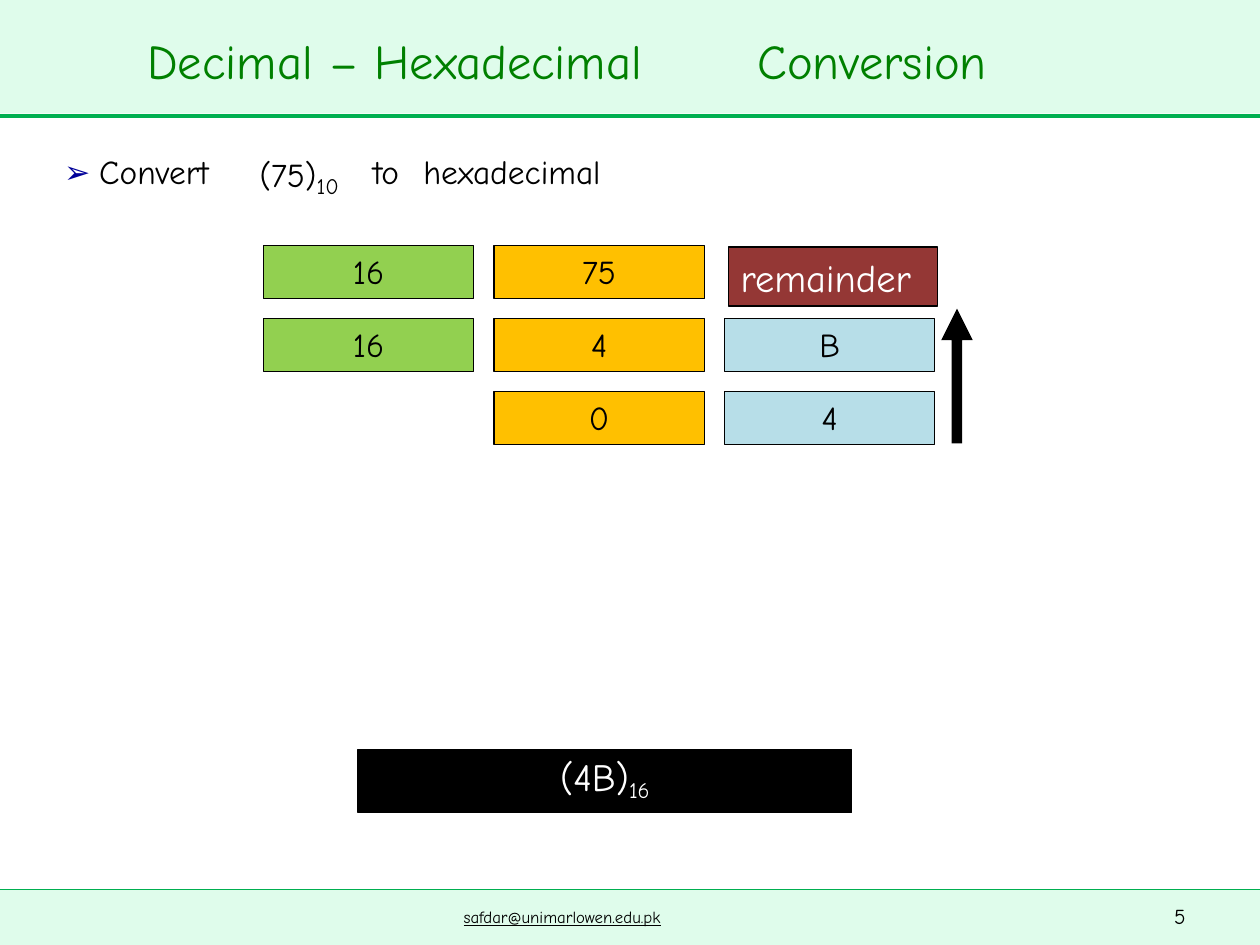
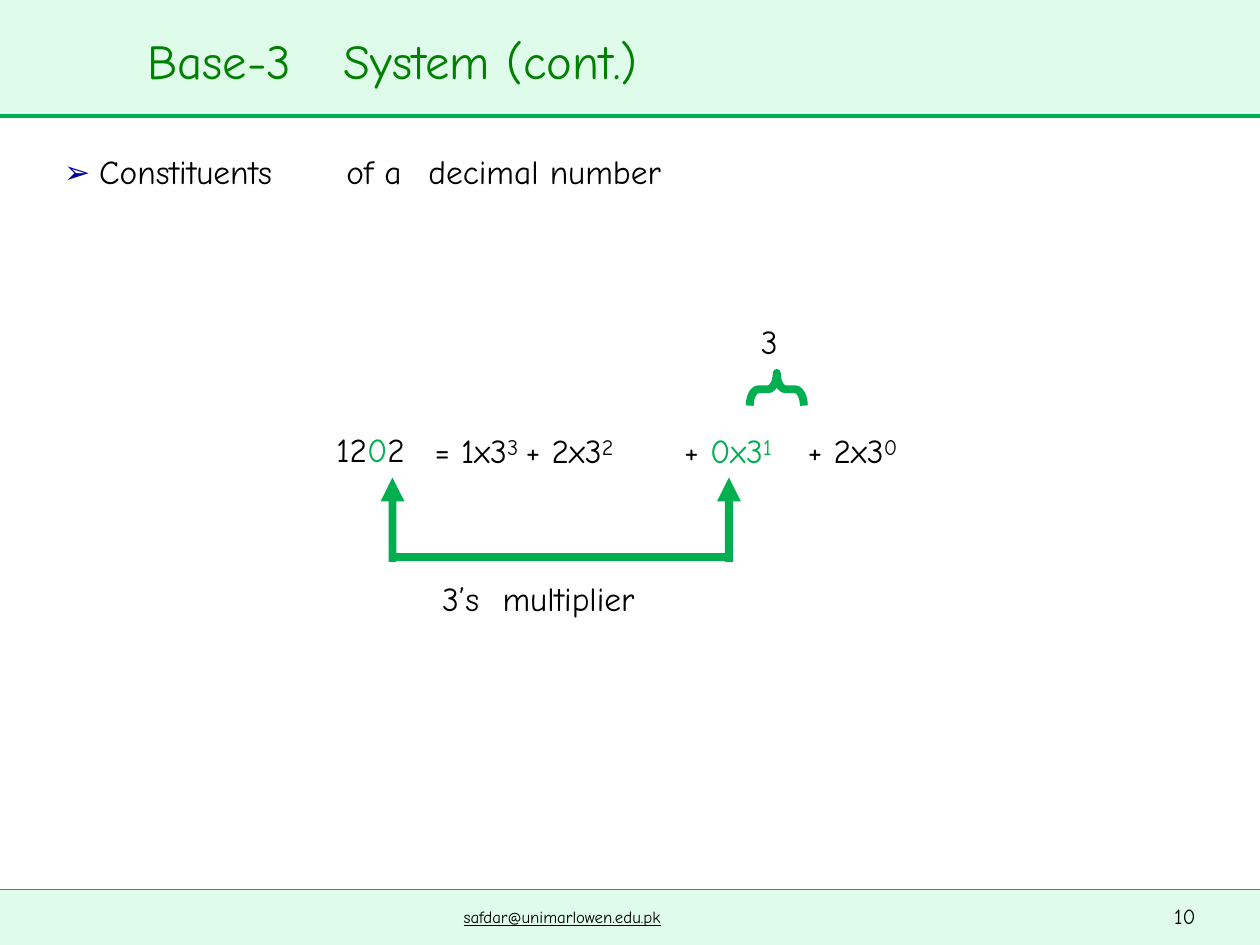
from pptx import Presentation
from pptx.dml.color import RGBColor
from pptx.enum.shapes import MSO_CONNECTOR, MSO_SHAPE
from pptx.enum.text import MSO_ANCHOR, PP_ALIGN
from pptx.oxml.ns import qn
from pptx.util import Inches, Pt

RECTANGLE = MSO_SHAPE.RECTANGLE
UP_ARROW = MSO_SHAPE.UP_ARROW
LEFT_BRACE = MSO_SHAPE.LEFT_BRACE
STRAIGHT = MSO_CONNECTOR.STRAIGHT
TOP = MSO_ANCHOR.TOP
LEFT, CENTER = PP_ALIGN.LEFT, PP_ALIGN.CENTER

BLACK, WHITE = "000000", "FFFFFF"
MINT, GREEN, TITLE_GREEN, NAVY = "DFFCEB", "00AF50", "008000", "000099"
LIME, AMBER, SKY, MAROON = "92D050", "FFC000", "B7DEE8", "943735"

# Sizes are those before the reduction that a raised or lowered run gets.
SUB = {"size": 21.8, "baseline": -5}
SUPER = {"size": 21.8, "baseline": 23}
BULLET = ("\u27a2 ", {"font": "Arial", "size": 30.8, "color": NAVY, "baseline": 3})


def rgb(code):
    """Turn a hex string into a colour."""
    return RGBColor.from_string(code)


def write(shape, spans, size=33, color=BLACK, baseline=2, font="Comic Neue",
          leading=Pt(23.9), before=1.2, align=LEFT, indent=0.01, underline=False):
    """Write one paragraph; spans is a string or a list of (text, overrides)."""
    frame = shape.text_frame
    frame.word_wrap = True
    frame.vertical_anchor = TOP
    frame.margin_left = Inches(indent)
    frame.margin_right = frame.margin_top = frame.margin_bottom = 0
    para = frame.paragraphs[0]
    para.alignment = align
    para.line_spacing = leading
    para.space_before = Pt(before)
    base = {"size": size, "color": color, "baseline": baseline, "font": font}
    for text, changes in [(spans, {})] if isinstance(spans, str) else spans:
        look = {**base, **changes}
        span = para.add_run()
        span.text = text
        span.font.name = look["font"]
        span.font.size = Pt(look["size"])
        span.font.color.rgb = rgb(look["color"])
        if underline:
            span.font.underline = True
        if look["baseline"]:
            span._r.get_or_add_rPr().set("baseline", str(look["baseline"] * 1000))


class Lecture:
    """The deck's style and its current slide."""

    def __init__(self):
        """Open an empty 10 by 7.5 inch deck."""
        self.deck = Presentation()
        self.deck.slide_width = Inches(10)
        self.deck.slide_height = Inches(7.5)
        self.slide = None

    def page(self, number, *title):
        """Start a page with its bands, title phrases and footer."""
        self.slide = self.deck.slides.add_slide(self.deck.slide_layouts[6])
        self.shape(RECTANGLE, 0, 0, 10, 0.9, MINT)
        self.rule(0, 10, 0.92, 2)
        self.shape(RECTANGLE, 0, 7.06, 10, 0.44, MINT)
        self.rule(0, 10, 7.06, 0.25)
        self.phrases(0.3, 0.47, *title, size=48, color=TITLE_GREEN, baseline=1,
                     leading=Pt(34), before=1.7)
        self.phrases(7.18, 0.22, (9.31, 0.27, str(number)), size=21,
                     leading=Pt(16.1), before=0.8)
        self.phrases(7.2, 0.18, (3.67, 2.06, "safdar@unimarlowen.edu.pk"), size=16.5,
                     leading=Pt(12.9), before=0.6, underline=True)

    def shape(self, kind, left, top, width, height, fill=None, line=None, weight=0.75):
        """Add a preset shape without shadow."""
        shape = self.slide.shapes.add_shape(
            kind, Inches(left), Inches(top), Inches(width), Inches(height))
        shape.shadow.inherit = False
        if fill:
            shape.fill.solid()
            shape.fill.fore_color.rgb = rgb(fill)
        else:
            shape.fill.background()
        if line:
            shape.line.color.rgb = rgb(line)
            shape.line.width = Pt(weight)
        else:
            shape.line.fill.background()
        return shape

    def rule(self, start, end, top, weight):
        """Draw a horizontal green line."""
        line = self.slide.shapes.add_connector(
            STRAIGHT, Inches(start), Inches(top), Inches(end), Inches(top))
        line.line.color.rgb = rgb(GREEN)
        line.line.width = Pt(weight)
        properties = line._element.spPr
        properties.append(properties.makeelement(qn("a:effectLst"), {}))

    def box(self, left, top, width, height, fill, spans, **style):
        """Add a filled box with a black outline and text."""
        write(self.shape(RECTANGLE, left, top, width, height, fill, BLACK),
              spans, **style)

    def phrases(self, top, height, *items, **style):
        """Set (left, width, spans) phrases along one line."""
        for left, width, spans in items:
            box = self.slide.shapes.add_textbox(
                Inches(left), Inches(top), Inches(width), Inches(height))
            write(box, spans, **style)

    def arrow(self, left, top, width, height, color):
        """Add an upward arrow whose head is as long as it is wide."""
        arrow = self.shape(UP_ARROW, left, top, width, height, color)
        arrow.adjustments[0] = 0.33
        arrow.adjustments[1] = 1

    def brace(self, left, top, width, height):
        """Add a green brace that points up: a left brace turned by 90 degrees."""
        shift = (width - height) / 2
        brace = self.shape(LEFT_BRACE, left + shift, top - shift, height, width,
                           line=GREEN, weight=4.5)
        brace.adjustments[0] = 0.27
        brace.rotation = 90


def hexadecimal_page(lecture):
    """Division of 75 by 16, with the remainders read upwards."""
    lecture.page(5, (1.16, 4.8, "Decimal \u2013 Hexadecimal"), (6, 2.31, "Conversion"))
    lecture.phrases(1.23, 0.33,
                    (0.5, 1.53, [BULLET, ("Convert", {})]),
                    (2.95, 0.38, "to"),
                    (3.35, 1.82, "hexadecimal"))
    lecture.phrases(1.23, 0.39, (2.05, 0.89, [("(75)", {}), ("10", SUB)]),
                    baseline=9, leading=Pt(27.9), before=1.4)

    division = [("16", "75", None), ("16", "4", "B"), (None, "0", "4")]
    for row, values in enumerate(division):
        for column, (value, fill) in enumerate(zip(values, (LIME, AMBER, SKY))):
            if value:
                lecture.box(2.09 + 1.83 * column, 1.95 + 0.58 * row, 1.67, 0.42,
                            fill, value, baseline=1, leading=Pt(29.1), before=1.4,
                            align=CENTER, indent=0)
    lecture.box(5.78, 1.96, 1.66, 0.47, MAROON, "remainder", size=22, color=WHITE,
                baseline=0, leading=1.16, before=0.2, indent=0.1)
    lecture.arrow(7.47, 2.45, 0.25, 1.07, BLACK)
    lecture.box(2.84, 5.95, 3.92, 0.5, BLACK,
                [("(4B)", {}), ("16", {**SUB, "baseline": -18})],
                size=22, color=WHITE, baseline=0, leading=Pt(30.6), before=1.6,
                align=CENTER, indent=0)


def base_three_page(lecture):
    """The number 1202 written out in powers of three."""
    lecture.page(10, (1.16, 1.52, "Base-3"), (2.72, 3.13, "System (cont.)"))
    lecture.phrases(1.23, 0.33,
                    (0.5, 2.22, [BULLET, ("Constituents", {})]),
                    (2.74, 0.64, "of a"),
                    (3.39, 2.28, "decimal number"))

    green = {"color": GREEN}
    lecture.phrases(2.58, 0.33, (6.03, 0.26, "3"))
    lecture.brace(5.95, 2.96, 0.43, 0.26)
    lecture.phrases(3.44, 0.33, (2.66, 0.77, [("12", {}), ("0", green), ("2", {})]))
    lecture.phrases(
        3.43, 0.34,
        (3.44, 1.96, [("= 1x3", {}), ("3 ", SUPER), ("+ 2x3", {}), ("2", SUPER)]),
        (5.42, 0.96, [("+ ", {}), ("0x3", green), ("1", {**SUPER, **green})]),
        (6.4, 0.99, [("+ 2x3", {}), ("0", SUPER)]),
        baseline=1, leading=Pt(24.8))

    for left in (3.02, 5.69):
        lecture.arrow(left, 3.79, 0.19, 0.67, GREEN)
    lecture.rule(3.11, 5.79, 4.42, 4.5)
    lecture.phrases(4.62, 0.33, (3.5, 0.46, "3\u2019s"), (3.98, 1.43, "multiplier"))


lecture = Lecture()
hexadecimal_page(lecture)
base_three_page(lecture)
lecture.deck.save("out.pptx")
